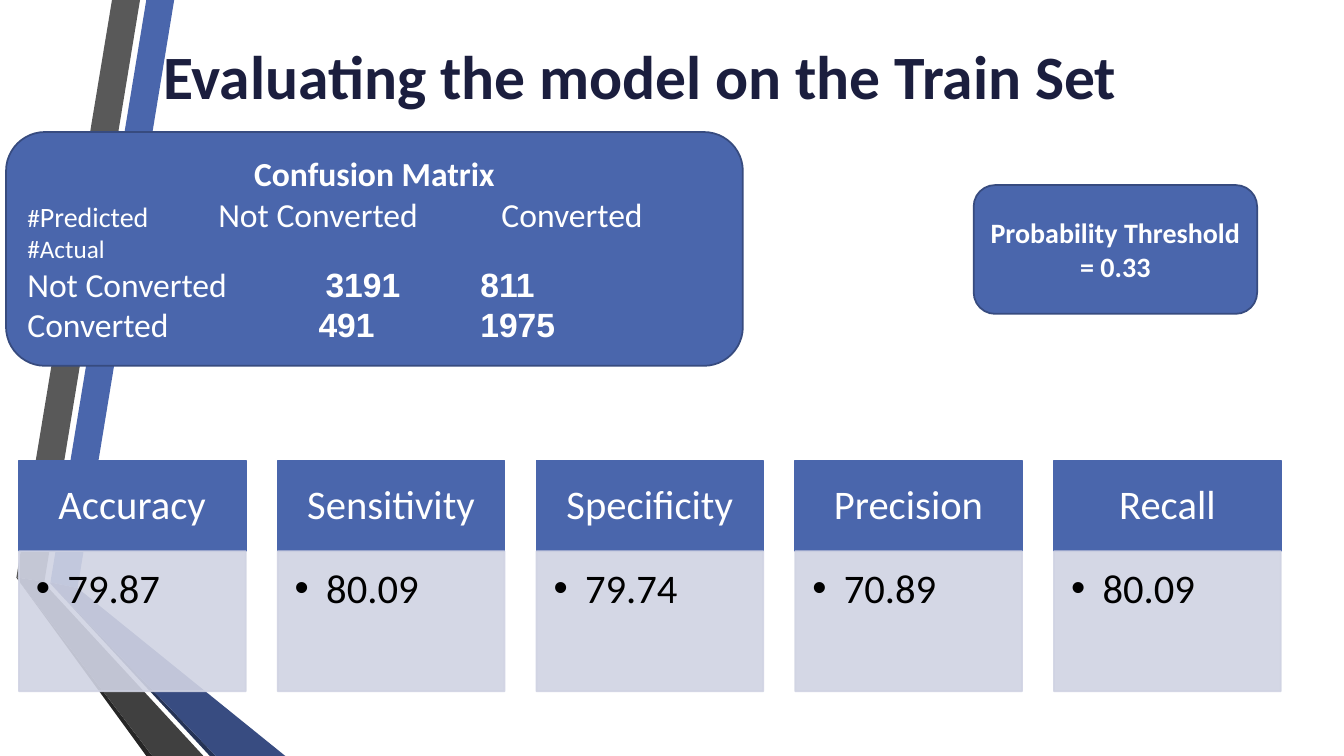
from lxml import etree
from pptx import Presentation, util as u
from pptx.dml.color import RGBColor
from pptx.enum import shapes, text
from pptx.oxml import ns

HUES = dict(
    blue="4A66AC", edge="374B7F", navy="384C81", deep="253356",
    gray="595959", dark="404040", coal="262626", pale="D0D3E3",
    title="1B1E3E", white="FFFFFF", black="000000",
)
BANDS = [
    ("blue", [(36, 416), (55.4, 420), (124.4, 0), (104.5, 0)]),
    ("gray", [(100, 0), (80, 0), (11.7, 412.5), (31.7, 415.5)]),
    ("coal", [(11.7, 412.5), (104.5, 540), (108.8, 540)]),
    ("deep", [(36, 416.8), (149.9, 540), (154.2, 540)]),
    ("navy", [(36, 416.8), (154.2, 540), (203.8, 540), (55.4, 420), (36, 416)]),
    ("dark", [(145.3, 540), (34.6, 420), (31, 416), (31.7, 415.5),
              (11.7, 412.5), (108.8, 540)]),
]
SCORES = [
    ("Accuracy", "79.87"),
    ("Sensitivity", "80.09"),
    ("Specificity", "79.74"),
    ("Precision", "70.89"),
    ("Recall", "80.09"),
]
MATRIX = [
    ([("#", 18, False), ("Predicted", 20, False),
      ("\tNot Converted\tConverted", 24, False)], (136.4, 338.6)),
    ([("#Actual", 18, False)], ()),
    ([("Not Converted", 24, False), ("\t3191\t811", 24, True)], (213, 323.6)),
    ([("Converted", 24, False), ("\t491\t1975", 24, True)], (208, 323.6)),
]


def color(name):
    return RGBColor.from_string(HUES[name])


def add_tag(node, tag, **attrs):
    return etree.SubElement(node, ns.qn(tag), attrs)


def write(para, words, size=24, bold=False, font="Calibri", hue="white",
          align="LEFT", lead=None):
    para.alignment = getattr(text.PP_ALIGN, align)
    if lead:
        para.line_spacing = lead
    run = para.add_run()
    run.text = words
    run.font.size = u.Pt(size)
    run.font.bold = bold
    run.font.name = font
    run.font.color.rgb = color(hue)


class Deck:
    def __init__(self):
        self.show = Presentation()
        self.show.slide_width = u.Pt(960)
        self.show.slide_height = u.Pt(540)
        self.slide = self.show.slides.add_slide(self.show.slide_layouts[6])

    def band(self, hue, spots):
        spots = [(u.Pt(x), u.Pt(y)) for x, y in spots]
        pen = self.slide.shapes.build_freeform(*spots[0])
        pen.add_line_segments(spots[1:], close=True)
        shape = pen.convert_to_shape()
        shape.shadow.inherit = False
        shape.fill.solid()
        shape.fill.fore_color.rgb = color(hue)
        shape.line.fill.background()

    def frame(self, shape, pads, anchor):
        frame = shape.text_frame
        frame.word_wrap = True
        frame.vertical_anchor = getattr(text.MSO_ANCHOR, anchor)
        (frame.margin_left, frame.margin_top,
         frame.margin_right, frame.margin_bottom) = map(u.Pt, pads)
        return frame

    def label(self, words, rect, **fmt):
        shape = self.slide.shapes.add_textbox(*map(u.Pt, rect))
        frame = self.frame(shape, (7.2, 3.6, 7.2, 3.6), "TOP")
        write(frame.paragraphs[0], words, **fmt)

    def box(self, rect, kind="RECTANGLE", fill="blue", edge="blue", alpha=None,
            pads=(7.2, 3.6, 7.2, 3.6), anchor="MIDDLE"):
        form = getattr(shapes.MSO_SHAPE, kind)
        shape = self.slide.shapes.add_shape(form, *map(u.Pt, rect))
        shape.shadow.inherit = False
        shape.fill.solid()
        shape.fill.fore_color.rgb = color(fill)
        shape.line.color.rgb = color(edge)
        shape.line.width = u.Pt(1.25)
        if alpha:
            for node in list(shape._element.spPr.iter(ns.qn("a:srgbClr"))):
                add_tag(node, "a:alpha", val=str(alpha * 1000))
        return self.frame(shape, pads, anchor)

    def matrix(self, rect):
        frame = self.box(rect, "ROUNDED_RECTANGLE", edge="edge")
        write(frame.paragraphs[0], "Confusion Matrix", bold=True, align="CENTER")
        for runs, stops in MATRIX:
            para = frame.add_paragraph()
            for words, size, bold in runs:
                write(para, words, size=size, bold=bold,
                      font="Arial" if bold else "Calibri")
            if stops:
                tabs = add_tag(para._p.get_or_add_pPr(), "a:tabLst")
                for stop in stops:
                    add_tag(tabs, "a:tab", pos=str(u.Pt(stop)), algn="l")

    def limit(self, rect):
        frame = self.box(rect, "ROUNDED_RECTANGLE", edge="edge")
        fmt = dict(size=20, bold=True, align="CENTER")
        write(frame.paragraphs[0], "Probability Threshold", **fmt)
        write(frame.add_paragraph(), "= 0.33", **fmt)

    def score(self, left, name, value):
        head = self.box((left, 329, 162, 64.8), pads=(16.6, 9.4, 16.6, 9.4))
        write(head.paragraphs[0], name, size=29, align="CENTER", lead=0.9)
        body = self.box((left, 393.8, 162, 100), fill="pale", edge="pale",
                        alpha=90, pads=(12.2, 12.2, 16.6, 18), anchor="TOP")
        para = body.paragraphs[0]
        write(para, value, size=29, hue="black", lead=0.9)
        props = para._p.get_or_add_pPr()
        props.set("marL", str(u.Pt(22.5)))
        props.set("indent", str(u.Pt(-22.5)))
        add_tag(props, "a:buFont", typeface="Arial")
        add_tag(props, "a:buChar", char="•")


def main():
    deck = Deck()
    for hue, spots in BANDS:
        deck.band(hue, spots)
    deck.label("Evaluating the model on the Train Set", (109.4, 23.8, 741, 60.5),
               size=44, bold=True, hue="title")
    deck.matrix((4.3, 94.3, 526.3, 167))
    deck.limit((695.5, 132.2, 202.5, 92))
    for i, (name, value) in enumerate(SCORES):
        deck.score(13.5 + i * 184.85, name, value)
    deck.show.save("out.pptx")


if __name__ == "__main__":
    main()
